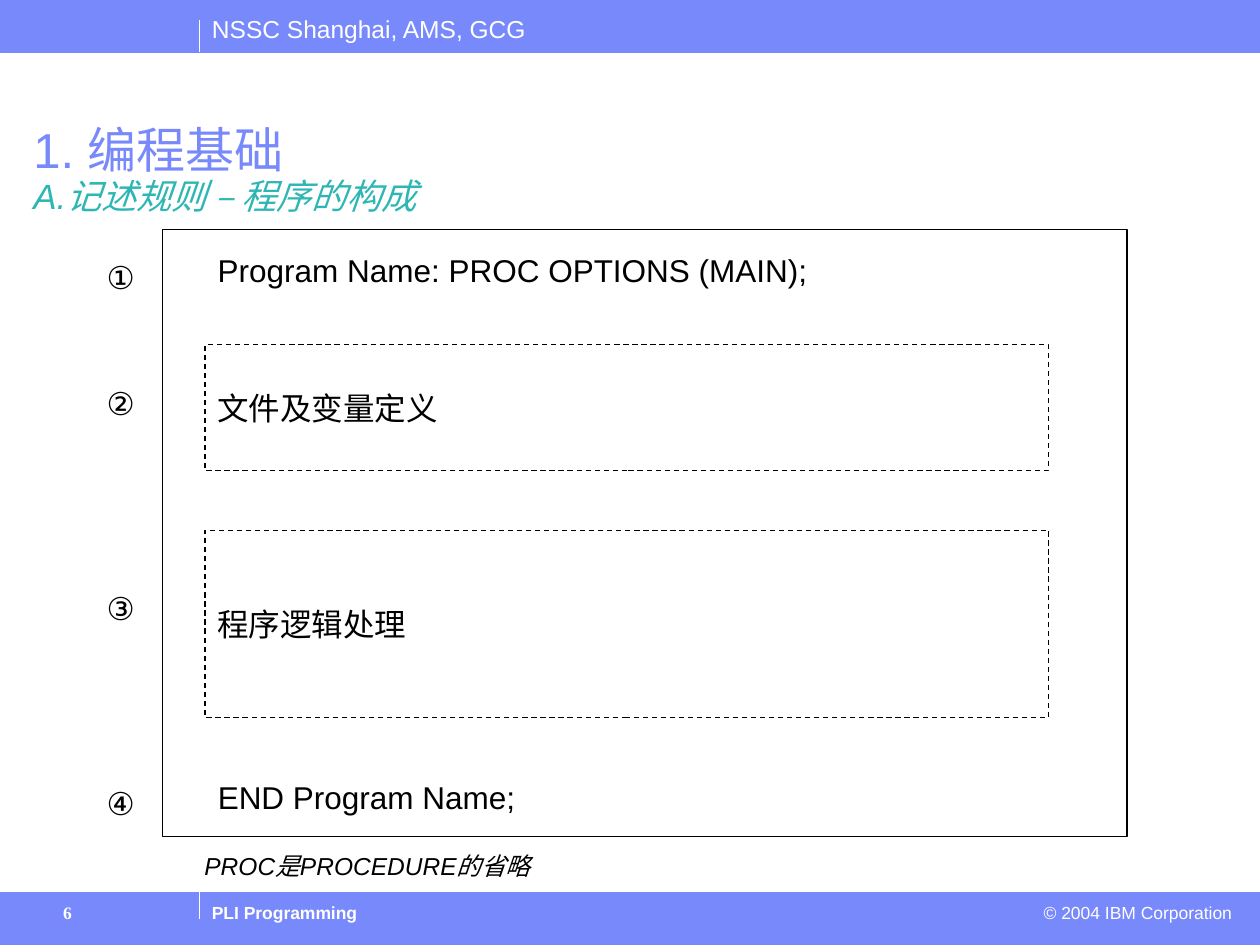
from lxml.etree import SubElement
from pptx import Presentation
from pptx.dml.color import RGBColor
from pptx.enum.dml import MSO_LINE
from pptx.enum.shapes import MSO_CONNECTOR, MSO_SHAPE
from pptx.enum.text import MSO_ANCHOR, PP_ALIGN
from pptx.oxml.ns import qn
from pptx.util import Pt

COLORS = {
    "bar": "7889FB",
    "subtitle": "2DB6B3",
    "ink": "000000",
    "white": "FFFFFF",
}


def rgb(name):
    """Return the named colour."""
    return RGBColor.from_string(COLORS[name])


def add_run(p, text, size=18, color="ink", font="Arial", bold=False, italic=False):
    """Append a formatted run to a paragraph."""
    r = p.add_run()
    r.text = text
    r.font.size = Pt(size)
    r.font.name = font
    r.font.bold = bold
    r.font.italic = italic
    r.font.color.rgb = rgb(color)


def add_text(s, text, x, y, w, h, align=PP_ALIGN.LEFT, wrap=True, **fmt):
    """Add a one-paragraph text box and return its paragraph."""
    tf = s.shapes.add_textbox(Pt(x), Pt(y), Pt(w), Pt(h)).text_frame
    tf.word_wrap = wrap
    p = tf.paragraphs[0]
    p.alignment = align
    add_run(p, text, **fmt)
    return p


def add_rect(s, x, y, w, h, fill=None, line="ink", width=0.75, dash=None):
    """Add a rectangle with an optional fill and dashed outline."""
    sp = s.shapes.add_shape(MSO_SHAPE.RECTANGLE, Pt(x), Pt(y), Pt(w), Pt(h))
    sp.shadow.inherit = False
    if fill:
        sp.fill.solid()
        sp.fill.fore_color.rgb = rgb(fill)
    else:
        sp.fill.background()
    sp.line.color.rgb = rgb(line)
    sp.line.width = Pt(width)
    if dash:
        sp.line.dash_style = dash
    return sp


def add_divider(s, x, y, length):
    """Add a thin white vertical line."""
    c = s.shapes.add_connector(MSO_CONNECTOR.STRAIGHT, Pt(x), Pt(y), Pt(x), Pt(y + length))
    c.line.color.rgb = rgb("white")
    c.line.width = Pt(0.75)
    SubElement(c._element.spPr, qn("a:effectLst"))


def add_header(s, x, y, w, h):
    """Draw the top bar with the department name."""
    add_rect(s, x, y, w, h, fill="bar", line="bar", width=0.25)
    add_text(s, "NSSC Shanghai, AMS, GCG", x + 114, y + 4.5, 220, 24.5,
             size=14, color="white")
    add_divider(s, x + 114, y + 11.5, h - 11.5)


def add_footer(s, x, y, w, h):
    """Draw the bottom bar with page number, course and copyright."""
    add_rect(s, x, y, w, h, fill="bar", line="bar", width=0.25)
    top = y + 2
    add_text(s, "PLI Programming", x + 114, top, 468, 19.5, size=10, color="white", bold=True)
    add_text(s, "© 2004 IBM Corporation", x + 448, top, 263, 19.5,
             align=PP_ALIGN.RIGHT, size=10, color="white")
    add_text(s, "6", x + 29, top, 62, 25, size=10, color="white",
             font="Times New Roman", bold=True)
    add_divider(s, x + 114, y, 15)


def add_title(s, x, y, w, h):
    """Write the chapter title and its section line."""
    p = add_text(s, "1. 编程基础", x, y, w, h, size=28, color="bar")
    p.line_spacing = 0.9
    p.add_line_break()
    add_run(p, "A.记述规则 – 程序的构成", size=20, color="subtitle", italic=True)


def add_section(s, text, x, y, w, h):
    """Draw a dashed program section with its label."""
    tf = add_rect(s, x, y, w, h, dash=MSO_LINE.DASH).text_frame
    tf.word_wrap = True
    tf.vertical_anchor = MSO_ANCHOR.MIDDLE
    p = tf.paragraphs[0]
    p.alignment = PP_ALIGN.LEFT
    add_run(p, text)


def add_program(s, x, y, w, h):
    """Draw the program frame, its parts, their numbers and the note."""
    add_rect(s, x, y, w, h)
    left = x + 24.2
    center = {"align": PP_ALIGN.CENTER, "wrap": False}
    add_text(s, "Program Name: PROC OPTIONS (MAIN);", left, y + 9, 351.5, 29, **center)
    add_section(s, "文件及变量定义", left, y + 66, 482, 72)
    add_section(s, "程序逻辑处理", left, y + 172, 482, 107)
    add_text(s, "END Program Name;", left, y + 310, 184.5, 29, **center)
    for number, top in zip("①②③④", (13, 85, 202, 313.5)):
        add_text(s, number, x - 66, y + top, 84, 29, **center)
    add_text(s, "PROC是PROCEDURE的省略", x + 11.5, y + h + 5, 211, 24.5,
             size=14, italic=True, **center)


def main():
    """Build the slide and save it."""
    prs = Presentation()
    prs.slide_width, prs.slide_height = Pt(720), Pt(540)
    s = prs.slides.add_slide(prs.slide_layouts[6])
    add_header(s, 0, 0, 720, 30)
    add_footer(s, 0, 510, 720, 30)
    add_title(s, 12, 68.5, 649.5, 39.5)
    add_program(s, 93, 131, 551, 347)
    prs.save("out.pptx")


if __name__ == "__main__":
    main()
